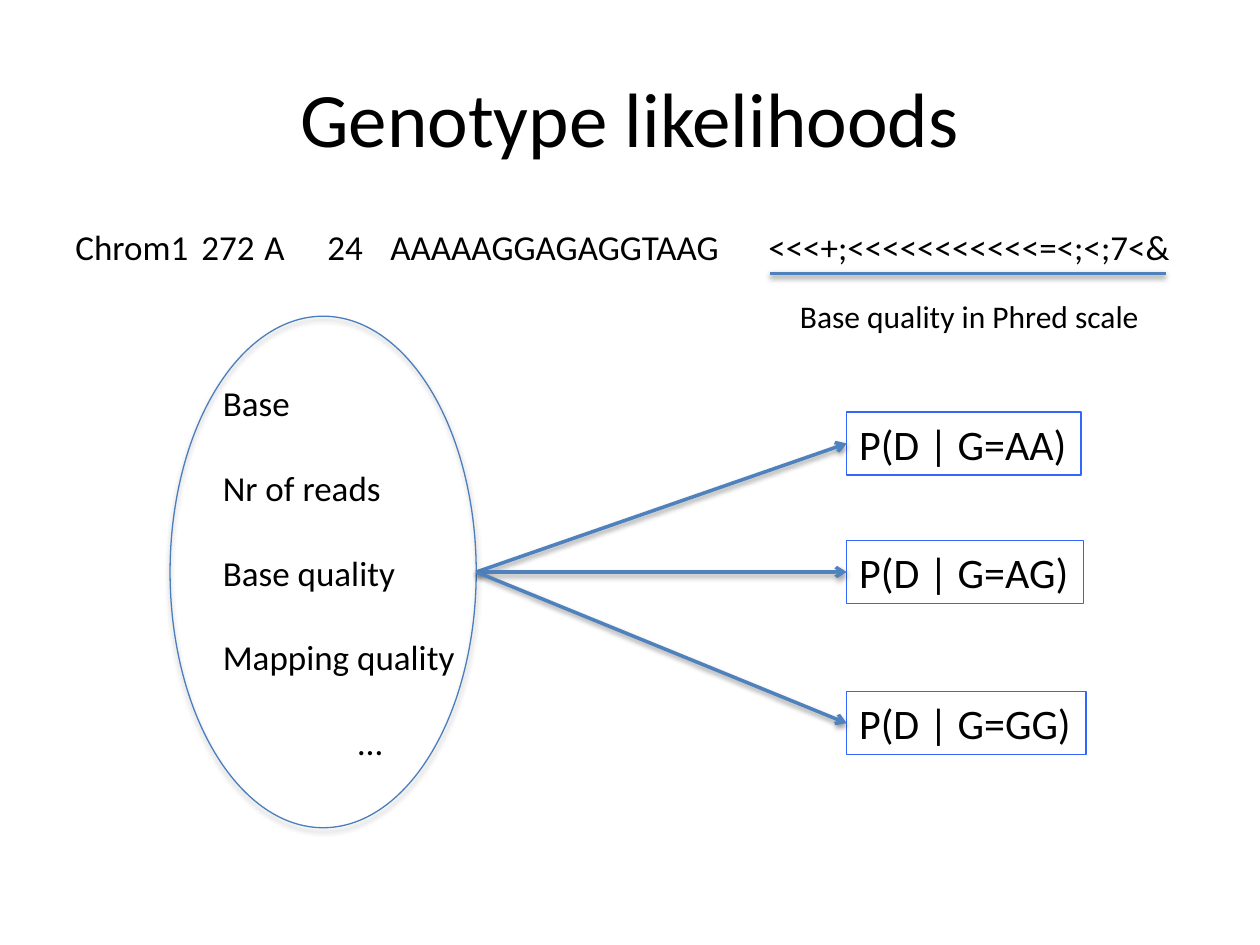
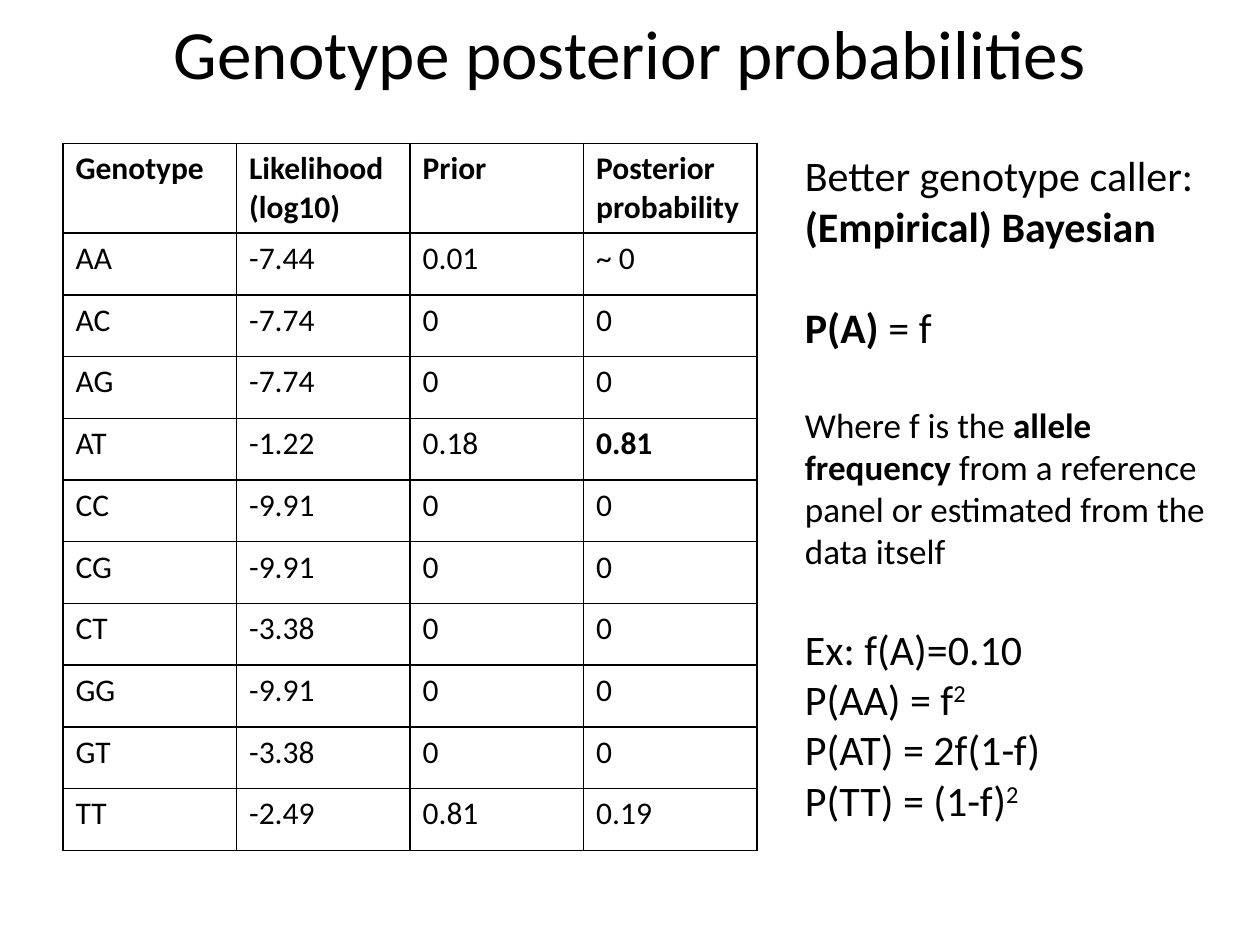
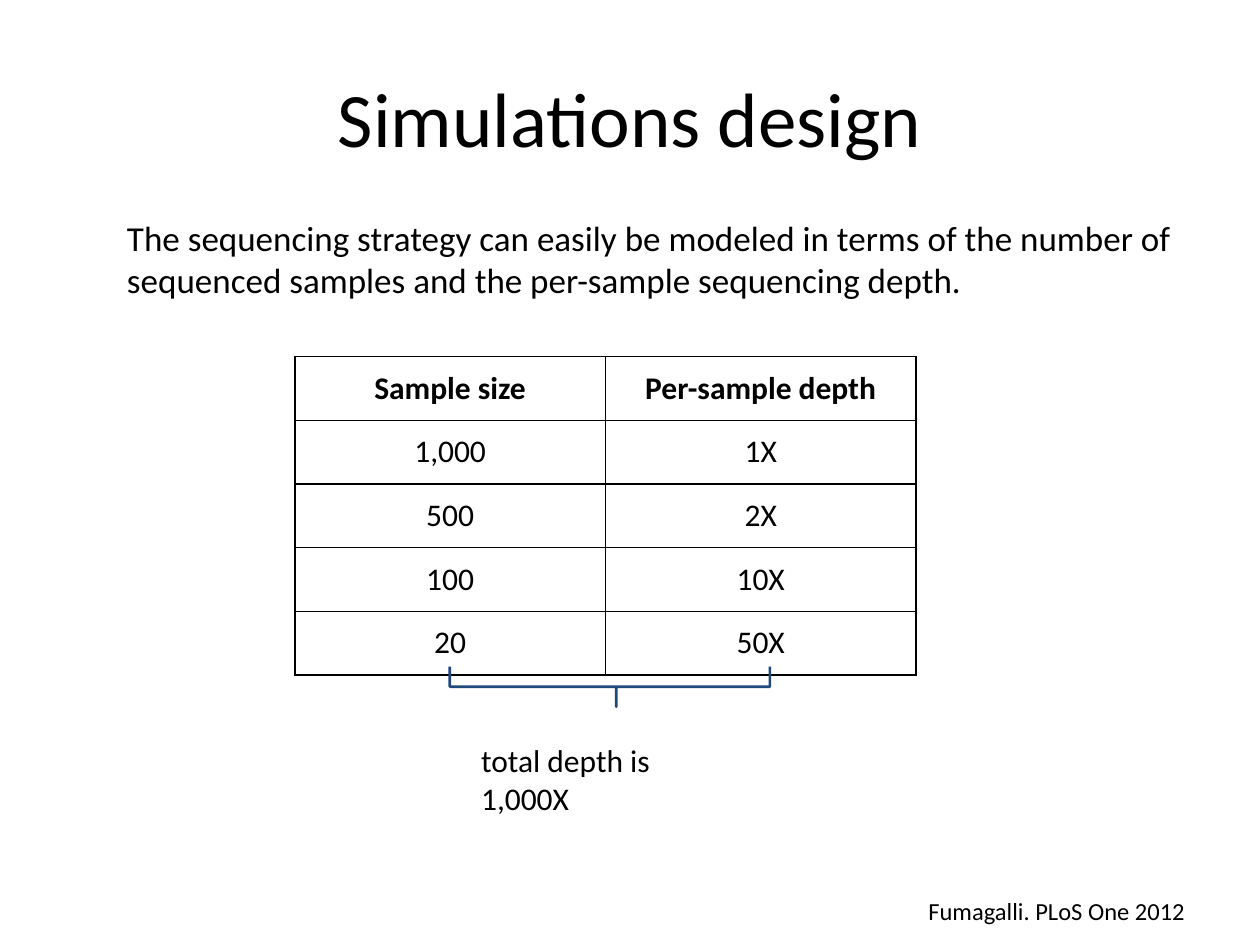
from lxml import etree
from pptx import Presentation
from pptx.dml.color import RGBColor
from pptx.enum.shapes import MSO_CONNECTOR, MSO_SHAPE
from pptx.enum.text import MSO_ANCHOR, MSO_AUTO_SIZE, PP_ALIGN
from pptx.oxml.ns import qn
from pptx.util import Inches, Pt

STRAIGHT = MSO_CONNECTOR.STRAIGHT
ELLIPSE, BRACE = MSO_SHAPE.OVAL, MSO_SHAPE.RIGHT_BRACE
MIDDLE = MSO_ANCHOR.MIDDLE
FIT, FIXED = MSO_AUTO_SIZE.SHAPE_TO_FIT_TEXT, MSO_AUTO_SIZE.NONE
LEFT, CENTER = PP_ALIGN.LEFT, PP_ALIGN.CENTER

FONT = "Calibri"
BLACK = RGBColor(0x00, 0x00, 0x00)
BLUE = RGBColor(0x4F, 0x81, 0xBD)
OVAL_BLUE = RGBColor(0x4B, 0x7E, 0xBC)
BOX_BLUE = RGBColor(0x33, 0x66, 0xFF)
NAVY = RGBColor(0x1F, 0x49, 0x7D)

TITLE_ONLY = 5
BOLD, SUPER = "bold", "super"


def inches(*lengths):
    return [Inches(n) for n in lengths]


def add_run(p, text, size, style=None):
    r = p.add_run()
    r.text = text
    r.font.name = FONT
    r.font.size = Pt(size)
    r.font.bold = style == BOLD
    r.font.color.rgb = BLACK
    if style == SUPER:
        r._r.get_or_add_rPr().set("baseline", "30000")


def set_margins(target, vertical):
    target.margin_left = target.margin_right = Inches(0.1)
    target.margin_top = target.margin_bottom = Inches(vertical)


def add_title_slide(prs, title, box=(0.5, 0.3, 9, 1.25), size=44):
    slide = prs.slides.add_slide(prs.slide_layouts[TITLE_ONLY])
    sp = slide.shapes.title
    sp.left, sp.top, sp.width, sp.height = inches(*box)
    tf = sp.text_frame
    tf.auto_size = FIXED
    tf.vertical_anchor = MIDDLE
    p = tf.paragraphs[0]
    p.alignment = CENTER
    add_run(p, title, size)
    return slide


def add_text(slide, box, paragraphs, wrap=False, margin=0.05):
    sp = slide.shapes.add_textbox(*inches(*box))
    tf = sp.text_frame
    tf.word_wrap = wrap
    tf.auto_size = FIXED if wrap else FIT
    set_margins(tf, margin)
    for i, (runs, size, gap) in enumerate(paragraphs):
        p = tf.add_paragraph() if i else tf.paragraphs[0]
        p.alignment = LEFT
        if gap:
            p.space_before = Pt(gap)
        for run in runs:
            add_run(p, run[0], size, *run[1:])
    return sp


def add_label(slide, box, text, size, **options):
    return add_text(slide, box, [([(text,)], size, 0)], **options)


def set_tabs(p, stops):
    tabs = etree.SubElement(p._p.get_or_add_pPr(), qn("a:tabLst"))
    for stop in stops:
        etree.SubElement(tabs, qn("a:tab"), pos=str(Inches(stop)), algn="l")


def add_shadow(effects, distance, alpha):
    shadow = etree.SubElement(effects, qn("a:outerShdw"), blurRad=str(Pt(3.1)),
                              dist=str(Pt(distance)), dir="5400000", rotWithShape="0")
    color = etree.SubElement(shadow, qn("a:srgbClr"), val=str(BLACK))
    etree.SubElement(color, qn("a:alpha"), val=str(alpha * 1000))


def add_line(slide, start, end, arrow=False):
    line = slide.shapes.add_connector(STRAIGHT, *inches(*start, *end))
    line.line.color.rgb = BLUE
    line.line.width = Pt(2)
    if arrow:
        etree.SubElement(line.line._get_or_add_ln(), qn("a:tailEnd"), type="arrow")
    effects = etree.SubElement(line._element.spPr, qn("a:effectLst"))
    add_shadow(effects, 1.6, 38)


def add_outline(slide, kind, box, color, width):
    sp = slide.shapes.add_shape(kind, *inches(*box))
    sp.fill.background()
    sp.line.color.rgb = color
    sp.line.width = Pt(width)
    sp.shadow.inherit = False
    return sp


def set_borders(cell):
    tcPr = cell._tc.get_or_add_tcPr()
    for side in ("lnL", "lnR", "lnT", "lnB"):
        ln = etree.SubElement(tcPr, qn("a:" + side), w=str(Pt(1)))
        fill = etree.SubElement(ln, qn("a:solidFill"))
        etree.SubElement(fill, qn("a:srgbClr"), val=str(BLACK))


def add_grid(slide, box, rows, heights, align, margin, bold_cells=()):
    frame = slide.shapes.add_table(len(rows), len(rows[0]), *inches(*box))
    table = frame.table
    for column in table.columns:
        column.width = Inches(box[2] / len(rows[0]))
    for i, (values, height) in enumerate(zip(rows, heights)):
        table.rows[i].height = Inches(height)
        for j, value in enumerate(values):
            cell = table.cell(i, j)
            set_borders(cell)
            cell.fill.background()
            set_margins(cell, margin)
            p = cell.text_frame.paragraphs[0]
            p.alignment = align
            add_run(p, value, 18, BOLD if i == 0 or (i, j) in bold_cells else None)


def build_likelihoods(prs):
    slide = add_title_slide(prs, "Genotype likelihoods")
    factors = ["Base", "Nr of reads", "Base quality", "Mapping quality", "\t…"]
    sp = add_text(slide, (1.67, 2.98, 2.06, 3.13),
                  [([(text,)], 20, 24.4 if i else 0) for i, text in enumerate(factors)])
    sp.text_frame.paragraphs[-1].alignment = CENTER

    oval = add_outline(slide, ELLIPSE, (1.35, 2.51, 2.43, 4.06), OVAL_BLUE, 0.75)
    add_shadow(oval._element.spPr.find(qn("a:effectLst")), 1.8, 35)

    pileup = add_label(slide, (0.5, 1.74, 8.97, 0.44),
                       "Chrom1\t272\tA\t24\tAAAAAGGAGAGGTAAG\t<<<+;<<<<<<<<<<<=<;<;7<&", 20)
    set_tabs(pileup.text_frame.paragraphs[0], (1, 1.5, 2, 2.5, 5.5))

    for genotype, top, width in (("AA", 3.27, 1.86), ("AG", 4.29, 1.88), ("GG", 5.49, 1.9)):
        sp = add_label(slide, (6.72, top, width, 0.5), f"P(D | G={genotype})", 24)
        sp.line.color.rgb = BOX_BLUE
        sp.line.width = Pt(0.75)
        add_line(slide, (3.78, 4.54), (6.72, top + 0.25), arrow=True)

    add_line(slide, (6.11, 2.17), (9.25, 2.17))
    add_label(slide, (6.25, 2.31, 2.92, 0.4), "Base quality in Phred scale", 18)


def build_posteriors(prs):
    slide = add_title_slide(prs, "Genotype posterior probabilities", (0.5, 0, 9, 0.83), 39.5)
    rows = [
        ("Genotype", "Likelihood (log10)", "Prior", "Posterior probability"),
        ("AA", "-7.44", "0.01", "~ 0"),
        ("AC", "-7.74", "0", "0"),
        ("AG", "-7.74", "0", "0"),
        ("AT", "-1.22", "0.18", "0.81"),
        ("CC", "-9.91", "0", "0"),
        ("CG", "-9.91", "0", "0"),
        ("CT", "-3.38", "0", "0"),
        ("GG", "-9.91", "0", "0"),
        ("GT", "-3.38", "0", "0"),
        ("TT", "-2.49", "0.81", "0.19"),
    ]
    heights = [0.71] + [0.49] * (len(rows) - 1)
    add_grid(slide, (0.5, 1.14, 5.51, 5.64), rows, heights, LEFT, 0.05, {(4, 3)})
    add_text(slide, (6.29, 1.14, 3.47, 5.92), [
        ([("Better genotype caller:",)], 24, 0),
        ([("(Empirical) Bayesian", BOLD)], 24, 0),
        ([("P(A)", BOLD), (" = f",)], 24, 29.3),
        ([("Where f is the ",), ("allele frequency ", BOLD),
          ("from a reference panel or estimated from the data itself",)], 20, 29.3),
        ([("Ex: f(A)=0.10",)], 24, 29.3),
        ([("P(AA) = f",), ("2", SUPER)], 24, 0),
        ([("P(AT) = 2f(1-f)",)], 24, 0),
        ([("P(TT) = (1-f)",), ("2", SUPER)], 24, 0),
    ], wrap=True)


def build_simulations(prs):
    slide = add_title_slide(prs, "Simulations design")
    add_label(slide, (0.91, 1.62, 8.5, 4.99),
              "The sequencing strategy can easily be modeled in terms of the number of "
              "sequenced samples and the per-sample sequencing depth.",
              20, wrap=True, margin=0.1)
    rows = [("Sample size", "Per-sample depth"), ("1,000", "1X"), ("500", "2X"),
            ("100", "10X"), ("20", "50X")]
    add_grid(slide, (2.34, 2.83, 4.93, 2.5), rows, [0.5] * len(rows), CENTER, 0.1)
    brace = add_outline(slide, BRACE, (4.68, 4.18, 0.32, 2.54), NAVY, 1.5)
    brace.rotation = 90
    brace.adjustments[0] = 0
    brace.adjustments[1] = 0.48
    add_label(slide, (3.72, 5.78, 2.16, 0.59), "total depth is 1,000X", 18, wrap=True, margin=0.1)
    add_label(slide, (7.27, 7.06, 2.26, 0.34), "Fumagalli. PLoS One 2012", 14)


def main():
    prs = Presentation()
    prs.slide_width, prs.slide_height = inches(10, 7.5)
    build_likelihoods(prs)
    build_posteriors(prs)
    build_simulations(prs)
    prs.save("out.pptx")


if __name__ == "__main__":
    main()
